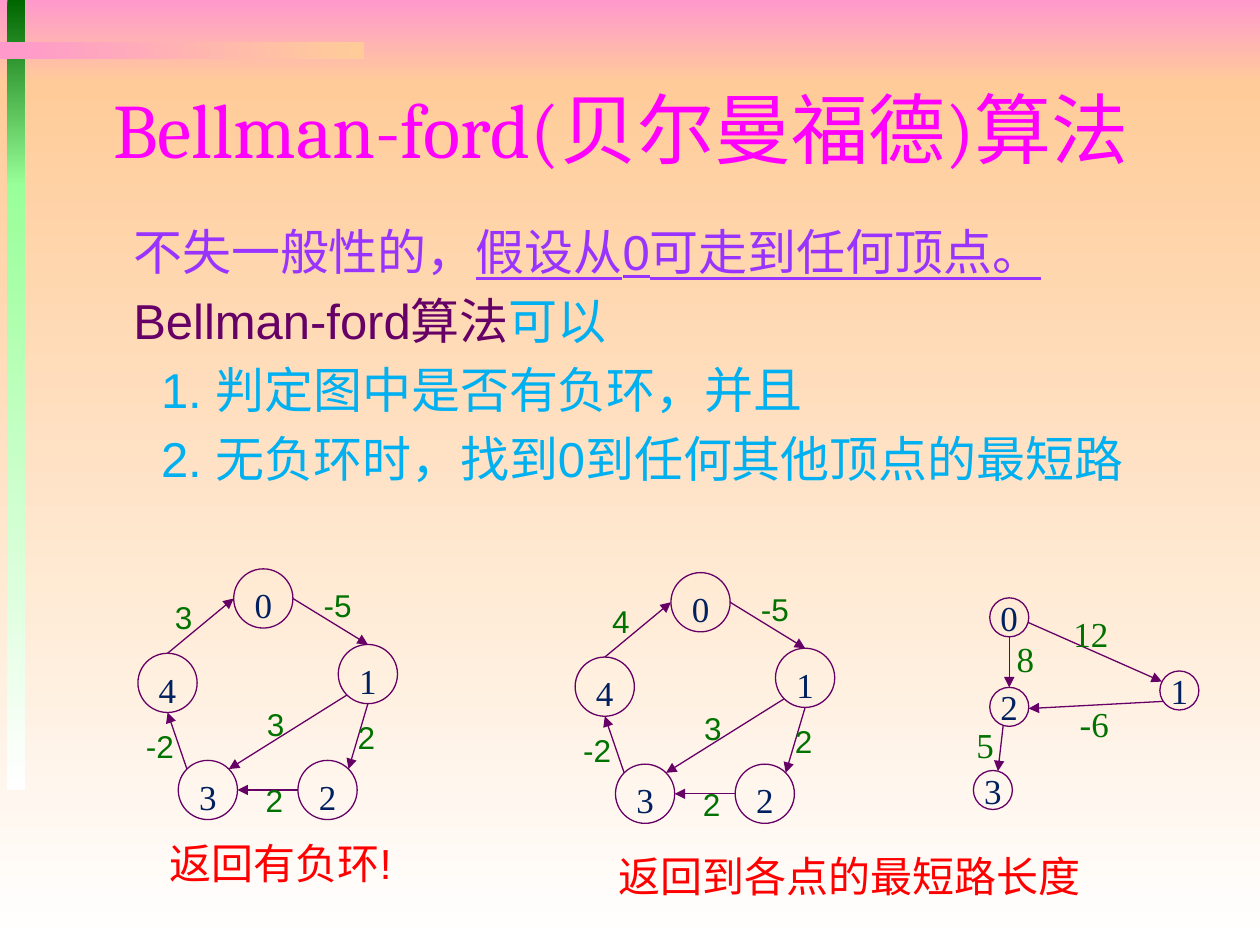
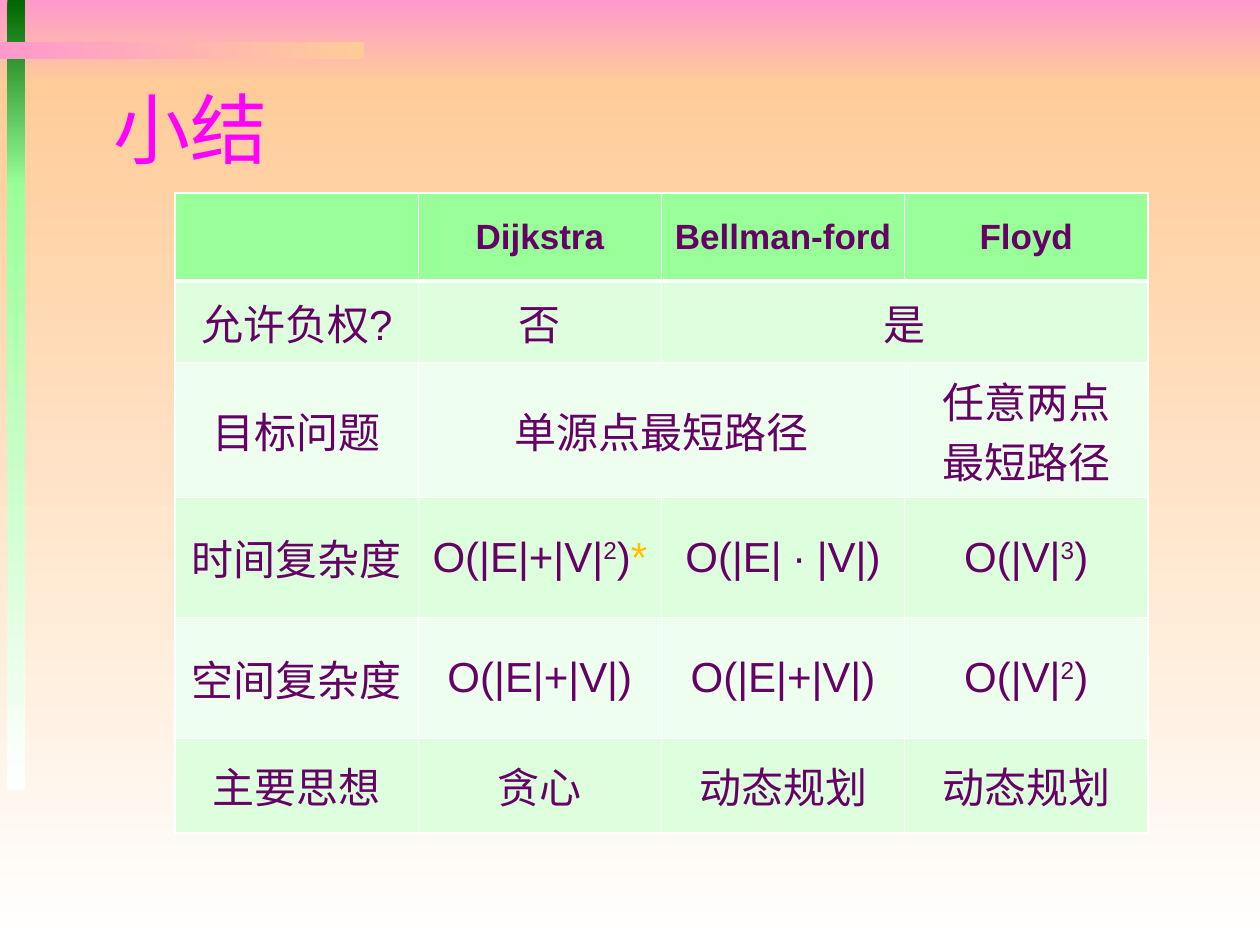
from dataclasses import dataclass
from math import cos, radians, sin

from lxml import etree
from pptx import Presentation
from pptx.dml.color import RGBColor
from pptx.enum.shapes import MSO_CONNECTOR, MSO_SHAPE
from pptx.enum.text import MSO_ANCHOR, MSO_AUTO_SIZE, PP_ALIGN
from pptx.oxml.ns import qn
from pptx.util import Inches, Pt

RECTANGLE, OVAL = MSO_SHAPE.RECTANGLE, MSO_SHAPE.OVAL
STRAIGHT = MSO_CONNECTOR.STRAIGHT
TOP, MIDDLE = MSO_ANCHOR.TOP, MSO_ANCHOR.MIDDLE
LEFT, CENTER = PP_ALIGN.LEFT, PP_ALIGN.CENTER
NO_AUTOFIT = MSO_AUTO_SIZE.NONE
TITLE_ONLY = 5


@dataclass(frozen=True)
class Theme:
    pink: str = "FF99CC"
    peach: str = "FFCC99"
    white: str = "FFFFFF"
    dark_green: str = "006600"
    light_green: str = "99FF99"
    band_dark: str = "DEFFDE"
    band_light: str = "EFFFEF"
    title: str = "FF00FF"
    plum: str = "660066"
    violet: str = "9933FF"
    sky: str = "00B0F0"
    caption: str = "FF0000"
    node: str = "002060"
    weight: str = "007200"
    star: str = "FFC000"
    sans: str = "Arial"
    serif: str = "Times New Roman"
    title_size: int = 44
    body_size: int = 28
    caption_size: int = 24
    node_size: int = 20
    weight_size: int = 18


THEME = Theme()

# (left, top, width, height, first colour, last colour, angle)
BACKDROP = [
    (0, 0, 10, 0.67, THEME.pink, THEME.peach, 270),
    (0, 0.67, 10, 6.83, THEME.peach, THEME.white, 270),
    (0.06, 0, 0.14, 1.48, THEME.dark_green, THEME.light_green, 270),
    (0.06, 1.46, 0.14, 4.81, THEME.light_green, THEME.white, 270),
    (0, 0.33, 2.89, 0.14, THEME.pink, THEME.peach, 0),
]

BODY = [
    [("不失一般性的，", {"color": THEME.violet}),
     ("假设从0可走到任何顶点。", {"color": THEME.violet, "underline": True})],
    [("Bellman-ford算法", {"color": THEME.plum}), ("可以", {"color": THEME.sky})],
    [("1. 判定图中是否有负环，并且", {"color": THEME.sky})],
    [("2. 无负环时，找到0到任何其他顶点的最短路", {"color": THEME.sky})],
]
FIRST_NUMBERED = 2

# Nodes are centres; edges are (from, angle, to, angle), angles clockwise from east.
PENTAGON_NODES = {"0": (2.09, 4.75), "4": (1.33, 5.42), "2": (2.6, 6.27),
                  "3": (1.65, 6.27), "1": (2.92, 5.35)}
PENTAGON_EDGES = [("4", 270, "0", 180), ("0", 0, "1", 270), ("1", 135, "3", 315),
                  ("3", 225, "4", 90), ("1", 90, "2", 315), ("2", 180, "3", 0)]
PENTAGON_WEIGHTS = [(1.29, 4.7), (2.47, 4.6), (2.02, 5.55),
                    (1.06, 5.72), (2.74, 5.65), (2.01, 6.15)]
SMALL_NODES = {"1": (9.36, 5.48), "2": (8.01, 5.61),
               "0": (8.01, 4.9), "3": (7.88, 6.27)}
SMALL_EDGES = [("0", 90, "2", 270), ("0", 15, "1", 207),
               ("1", 146, "2", 5), ("2", 108, "3", 285)]
SMALL_WEIGHTS = [("8", 7.97, 5.01), ("12", 8.42, 4.81),
                 ("-6", 8.47, 5.53), ("5", 7.65, 5.69)]

STAR = ("*", {"color": THEME.star})


def power(exponent):
    return [("O(|V|", {}), (exponent, {"raised": True}), (")", {})]


COLUMN_WIDTH = 1.93
ROW_HEIGHTS = [0.7, 0.65, 1.07, 0.95, 0.96, 0.75]
SUMMARY = [
    ["", "Dijkstra", "Bellman-ford", "Floyd"],
    ["允许负权?", "否", "是", None],
    ["目标问题", "单源点最短路径", None, "任意两点\v最短路径"],
    ["时间复杂度",
     [("O(|E|+|V|", {}), ("2", {"raised": True}), (")", {}), STAR],
     "O(|E| ∙ |V|)", power("3")],
    ["空间复杂度", "O(|E|+|V|)", "O(|E|+|V|)", power("2")],
    ["主要思想", "贪心", "动态规划", "动态规划"],
]


def rgb(code):
    return RGBColor.from_string(code)


def set_font(font, name, size, color):
    font.name, font.size = name, Pt(size)
    font.color.rgb = rgb(color)


def add_runs(paragraph, runs):
    for text, style in runs:
        run = paragraph.add_run()
        run.text = text
        if "font" in style:
            run.font.name = style["font"]
        if "color" in style:
            run.font.color.rgb = rgb(style["color"])
        if "underline" in style:
            run.font.underline = True
        if "raised" in style:
            run.font._element.set("baseline", "30000")


def add_backdrop(slide, layout):
    """Draw the bands and move them to the layout, behind its placeholders."""
    for order, (left, top, width, height, first, last, angle) in enumerate(BACKDROP):
        band = slide.shapes.add_shape(RECTANGLE, Inches(left), Inches(top),
                                      Inches(width), Inches(height))
        band.shadow.inherit = False
        band.line.fill.background()
        band.fill.gradient()
        band.fill.gradient_angle = angle
        for stop, color, position in zip(band.fill.gradient_stops, (first, last), (0, 1)):
            stop.color.rgb = rgb(color)
            stop.position = position
        band.element[0][0].set("id", str(100 + order))
        layout.shapes.element.insert(2 + order, band.element)


def set_title(slide, runs):
    title = slide.shapes.title
    title.left, title.top = Inches(0.8), Inches(0.57)
    title.width, title.height = Inches(8.5), Inches(0.9)
    frame = title.text_frame
    frame.auto_size = NO_AUTOFIT
    frame.vertical_anchor = MIDDLE
    paragraph = frame.paragraphs[0]
    paragraph.alignment = LEFT
    paragraph.line_spacing = Pt(52)
    paragraph.font.size = Pt(THEME.title_size)
    paragraph.font.color.rgb = rgb(THEME.title)
    add_runs(paragraph, runs)


def add_label(slide, text, left, top, width, height, font, size, color):
    label = slide.shapes.add_textbox(Inches(left), Inches(top),
                                     Inches(width), Inches(height))
    label.text_frame.word_wrap = True
    paragraph = label.text_frame.paragraphs[0]
    paragraph.text = text
    set_font(paragraph.font, font, size, color)


def add_caption(slide, text, left, top, width):
    add_label(slide, text, left, top, width, 0.5,
              THEME.sans, THEME.caption_size, THEME.caption)


def add_body(slide):
    body = slide.shapes.add_textbox(Inches(0.96), Inches(1.71), Inches(8.5), Inches(2.45))
    frame = body.text_frame
    frame.word_wrap = True
    for index, runs in enumerate(BODY):
        paragraph = frame.add_paragraph() if index else frame.paragraphs[0]
        paragraph.space_before = Pt(5.6)
        paragraph.line_spacing = Pt(33.8)
        paragraph.font.name = THEME.sans
        paragraph.font.size = Pt(THEME.body_size)
        add_runs(paragraph, runs)
        if index >= FIRST_NUMBERED:
            paragraph._p.get_or_add_pPr().set("marL", str(Inches(0.22)))


def add_node(slide, text, center, radius, anchor):
    x, y = center
    node = slide.shapes.add_shape(OVAL, Inches(x - radius), Inches(y - radius),
                                  Inches(2 * radius), Inches(2 * radius))
    node.shadow.inherit = False
    node.fill.background()
    node.line.color.rgb = rgb(THEME.plum)
    node.line.width = Pt(0.75)
    frame = node.text_frame
    frame.word_wrap = False
    frame.vertical_anchor = anchor
    paragraph = frame.paragraphs[0]
    paragraph.text = text
    paragraph.alignment = CENTER
    set_font(paragraph.font, THEME.serif, THEME.node_size, THEME.node)


def rim_point(center, radius, angle):
    x, y = center
    return (Inches(x + radius * cos(radians(angle))),
            Inches(y + radius * sin(radians(angle))))


def add_arrow(slide, start, end):
    arrow = slide.shapes.add_connector(STRAIGHT, *start, *end)
    arrow.line.color.rgb = rgb(THEME.plum)
    arrow.line.width = Pt(0.75)
    etree.SubElement(arrow.line._get_or_add_ln(), qn("a:tailEnd"), type="triangle")
    etree.SubElement(arrow.element.spPr, qn("a:effectLst"))


def add_graph(slide, nodes, edges, radius, anchor):
    for text, center in nodes.items():
        add_node(slide, text, center, radius, anchor)
    for source, leaving, target, arriving in edges:
        add_arrow(slide, rim_point(nodes[source], radius, leaving),
                  rim_point(nodes[target], radius, arriving))


def add_pentagon(slide, weights, dx=0.0, dy=0.0):
    nodes = {text: (x + dx, y + dy) for text, (x, y) in PENTAGON_NODES.items()}
    add_graph(slide, nodes, PENTAGON_EDGES, 0.235, TOP)
    for weight, (x, y) in zip(weights, PENTAGON_WEIGHTS):
        add_label(slide, weight, x + dx, y + dy, 0.68, 0.4,
                  THEME.sans, THEME.weight_size, THEME.weight)


def add_small_graph(slide):
    add_graph(slide, SMALL_NODES, SMALL_EDGES, 0.155, MIDDLE)
    for weight, x, y in SMALL_WEIGHTS:
        add_label(slide, weight, x, y, 0.52, 0.44,
                  THEME.serif, THEME.node_size, THEME.weight)


def set_borders(cell, widths):
    """Draw white borders; widths in points run left, right, top, bottom."""
    properties = cell._tc.get_or_add_tcPr()
    for order, (side, width) in enumerate(zip("LRTB", widths)):
        border = etree.Element(qn(f"a:ln{side}"), w=str(Pt(width)))
        fill = etree.SubElement(border, qn("a:solidFill"))
        etree.SubElement(fill, qn("a:srgbClr"), val=THEME.white)
        properties.insert(order, border)


def fill_cell(cell, content, row):
    is_header = row == 0
    cell.fill.solid()
    band = THEME.band_dark if row % 2 else THEME.band_light
    cell.fill.fore_color.rgb = rgb(THEME.light_green if is_header else band)
    set_borders(cell, (1, 1, 3 if row == 1 else 1, 3 if is_header else 1))
    cell.vertical_anchor = MIDDLE
    if not content:
        return
    paragraph = cell.text_frame.paragraphs[0]
    paragraph.alignment = CENTER
    set_font(paragraph.font, THEME.sans,
             THEME.node_size if is_header else THEME.caption_size, THEME.plum)
    paragraph.font.bold = is_header
    if isinstance(content, str):
        paragraph.text = content
        if "\v" in content:
            paragraph.line_spacing = Pt(34.8)
    else:
        add_runs(paragraph, content)


def add_summary(slide):
    columns = len(SUMMARY[0])
    table = slide.shapes.add_table(
        len(SUMMARY), columns, Inches(1.39), Inches(1.53),
        Inches(COLUMN_WIDTH * columns), Inches(sum(ROW_HEIGHTS))).table
    table.horz_banding = False
    for column in table.columns:
        column.width = Inches(COLUMN_WIDTH)
    for row, (contents, height) in enumerate(zip(SUMMARY, ROW_HEIGHTS)):
        table.rows[row].height = Inches(height)
        for column, content in enumerate(contents):
            fill_cell(table.cell(row, column), content, row)
            if content is None:
                table.cell(row, column - 1).merge(table.cell(row, column))


def main():
    deck = Presentation()
    deck.slide_width, deck.slide_height = Inches(10), Inches(7.5)
    layout = deck.slide_layouts[TITLE_ONLY]

    algorithm = deck.slides.add_slide(layout)
    add_backdrop(algorithm, layout)
    set_title(algorithm, [("Bellman-ford(", {"font": "Cambria"}),
                          ("贝尔曼福德", {"font": "Noto Sans CJK SC"}),
                          (")算法", {"font": "Cambria"})])
    add_body(algorithm)
    add_caption(algorithm, "返回有负环!", 1.25, 6.6, 2.16)
    add_pentagon(algorithm, ["3", "-5", "3", "-2", "2", "2"])
    add_pentagon(algorithm, ["4", "-5", "3", "-2", "2", "2"], 3.47, 0.03)
    add_caption(algorithm, "返回到各点的最短路长度", 4.81, 6.7, 4.16)
    add_small_graph(algorithm)

    summary = deck.slides.add_slide(layout)
    set_title(summary, [("小结", {"font": "Roboto Condensed"})])
    add_summary(summary)

    deck.save("out.pptx")


if __name__ == "__main__":
    main()
